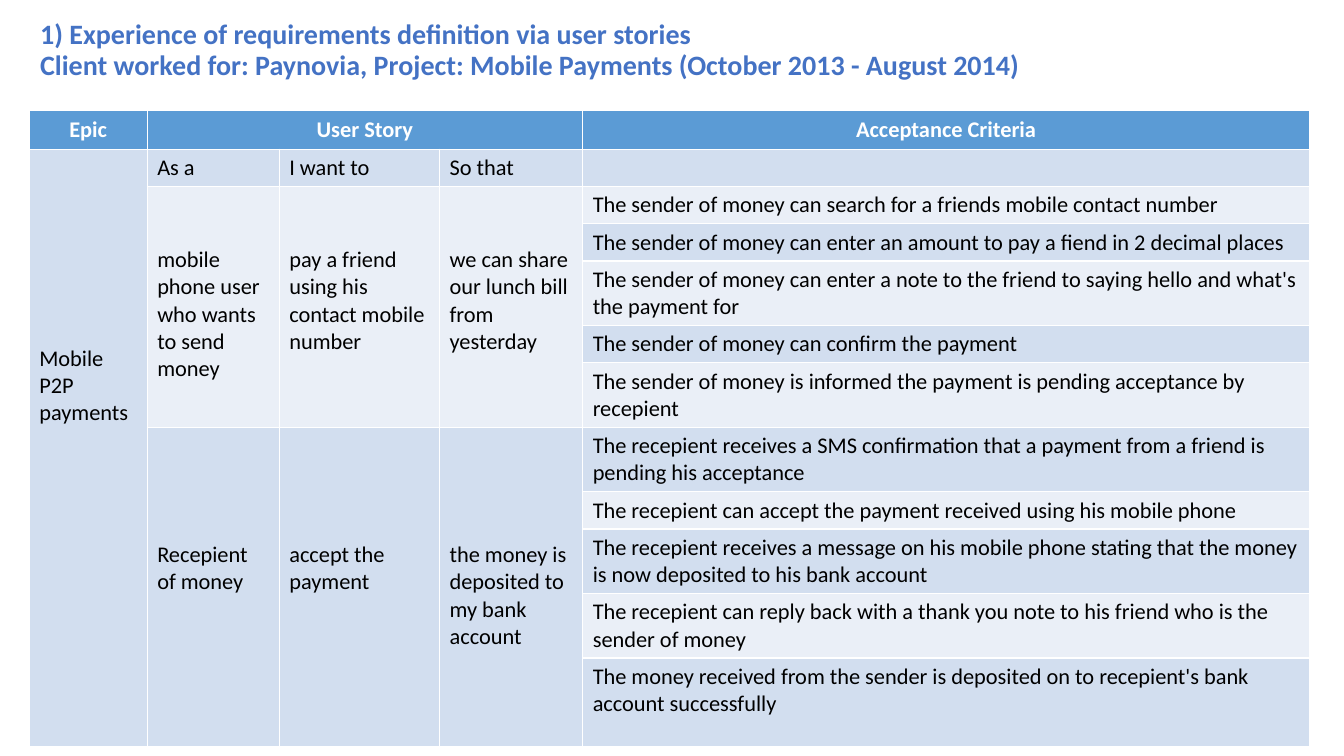
from pptx import Presentation
from pptx.dml.color import RGBColor
from pptx.enum import text as t
from pptx.util import Inches, Pt

LINE = 0.27
PAD = 0.05
HEADS = {0: "Epic", 1: "User Story", 4: "Acceptance Criteria"}
PARTS = ["As a", "I want to", "So that"]
STORIES = [
    (2, 2, [
        "mobile phone user who wants to send money",
        "pay a friend using his contact mobile number",
        "we can share our lunch bill from yesterday",
    ], [
        "The sender of money can search for a friends mobile contact number",
        "The sender of money can enter an amount to pay a fiend in 2 decimal places",
        "The sender of money can enter a note to the friend to saying hello and what's the payment for",
        "The sender of money can confirm the payment",
        "The sender of money is informed the payment is pending acceptance by recepient",
    ]),
    (7, 4, [
        "Recepient of money",
        "accept the payment",
        "the money is deposited to my bank account",
    ], [
        "The recepient receives a SMS confirmation that a payment from a friend is pending his acceptance",
        "The recepient can accept the payment received using his mobile phone",
        "The recepient receives a message on his mobile phone stating that the money is now deposited to his bank account",
        "The recepient can reply back with a thank you note to his friend who is the sender of money",
        "The money received from the sender is deposited on to recepient's bank account successfully",
    ]),
]
WIDTHS = [1.17, 1.31, 1.59, 1.42, 7.21]
HEIGHTS = [0.38, 0.37, 0.37, 0.37, 0.64, 0.37, 0.64, 0.64, 0.37, 0.64, 0.64, 0.88]


def color(code):
    return RGBColor.from_string(code)


class Deck:
    font = "Calibri"
    blue = "4472C4"
    head = "5B9BD5"
    bands = ["EAEFF7", "D2DEEF"]

    def __init__(self):
        self.prs = Presentation()
        self.prs.slide_width = Inches(13.33)
        self.prs.slide_height = Inches(7.5)
        self.slide = self.prs.slides.add_slide(self.prs.slide_layouts[6])

    def style(self, para, size, code, bold):
        for run in para.runs:
            run.font.name = self.font
            run.font.size = Pt(size)
            run.font.bold = bold
            run.font.color.rgb = color(code)

    def title(self, words, *box):
        frame = self.slide.shapes.add_textbox(*map(Inches, box)).text_frame
        frame.word_wrap = True
        frame.vertical_anchor = t.MSO_ANCHOR.MIDDLE
        para = frame.paragraphs[0]
        para.text = words
        para.line_spacing = 0.9
        self.style(para, 20, self.blue, True)

    def table(self, left, top, widths, heights):
        size = len(heights), len(widths)
        area = left, top, sum(widths), sum(heights)
        grid = self.slide.shapes.add_table(*size, *map(Inches, area)).table
        for col, width in zip(grid.columns, widths):
            col.width = Inches(width)
        for i, (row, height) in enumerate(zip(grid.rows, heights)):
            row.height = Inches(height)
            for cell in row.cells:
                cell.margin_top = cell.margin_bottom = 0
                cell.fill.solid()
                cell.fill.fore_color.rgb = color(self.bands[i % 2] if i else self.head)
        return grid

    def cell(self, cell, words, drop=0, head=False):
        cell.margin_top = Inches(PAD + drop * LINE)
        cell.margin_bottom = Inches(PAD)
        para = cell.text_frame.paragraphs[0]
        para.text = words
        para.alignment = t.PP_ALIGN.CENTER if head else t.PP_ALIGN.LEFT
        self.style(para, 16, "FFFFFF" if head else "000000", head)

    def save(self):
        self.prs.save("out.pptx")


def main():
    deck = Deck()
    deck.title(
        "1) Experience of requirements definition via user stories\v"
        "Client worked for: Paynovia, Project: Mobile Payments (October 2013 - August 2014)",
        0.3, 0.11, 12.67, 0.79)
    grid = deck.table(0.29, 1.1, WIDTHS, HEIGHTS)
    grid.cell(0, 1).merge(grid.cell(0, 3))
    for col, words in HEADS.items():
        deck.cell(grid.cell(0, col), words, head=True)
    grid.cell(1, 0).merge(grid.cell(11, 0))
    deck.cell(grid.cell(1, 0), "Mobile P2P payments", 7)
    for col, words in enumerate(PARTS, 1):
        deck.cell(grid.cell(1, col), words)
    for first, drop, story, tests in STORIES:
        for col, words in enumerate(story, 1):
            grid.cell(first, col).merge(grid.cell(first + len(tests) - 1, col))
            deck.cell(grid.cell(first, col), words, drop)
        for row, words in enumerate(tests, first):
            deck.cell(grid.cell(row, 4), words)
    deck.save()


if __name__ == "__main__":
    main()
